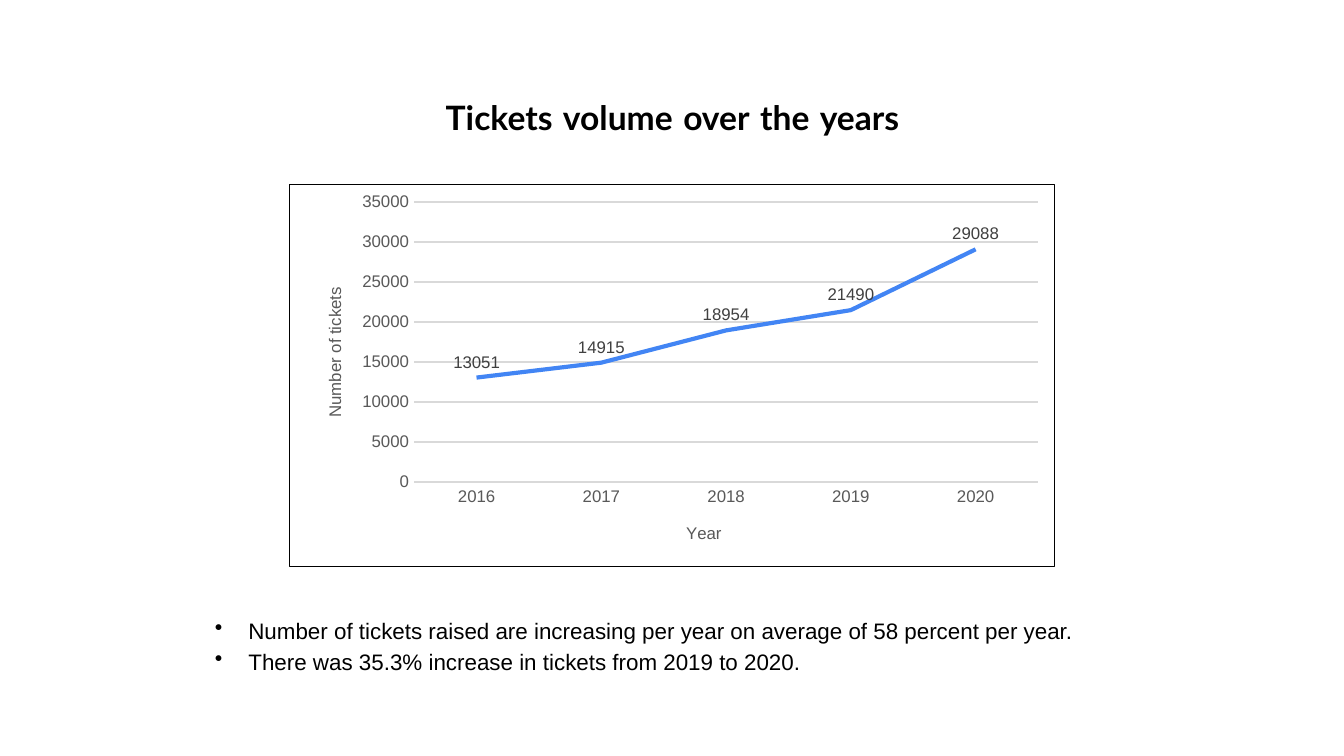
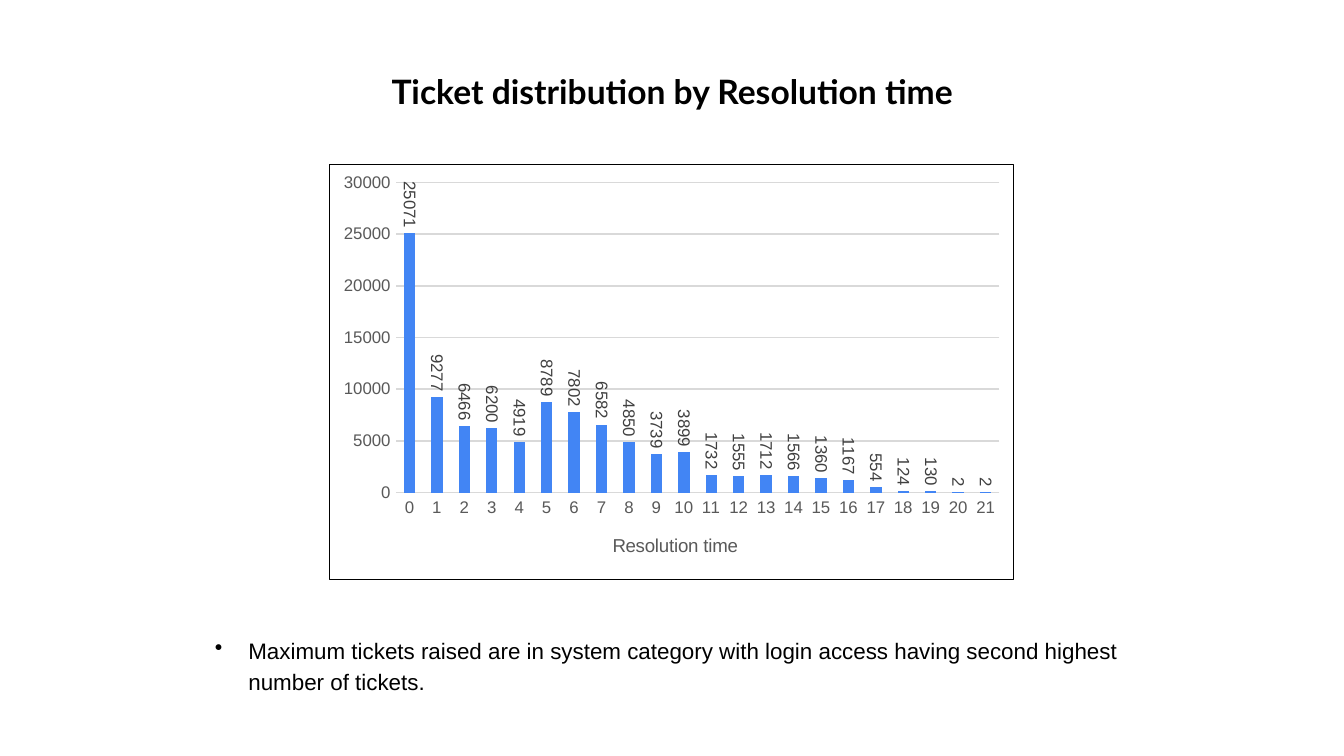
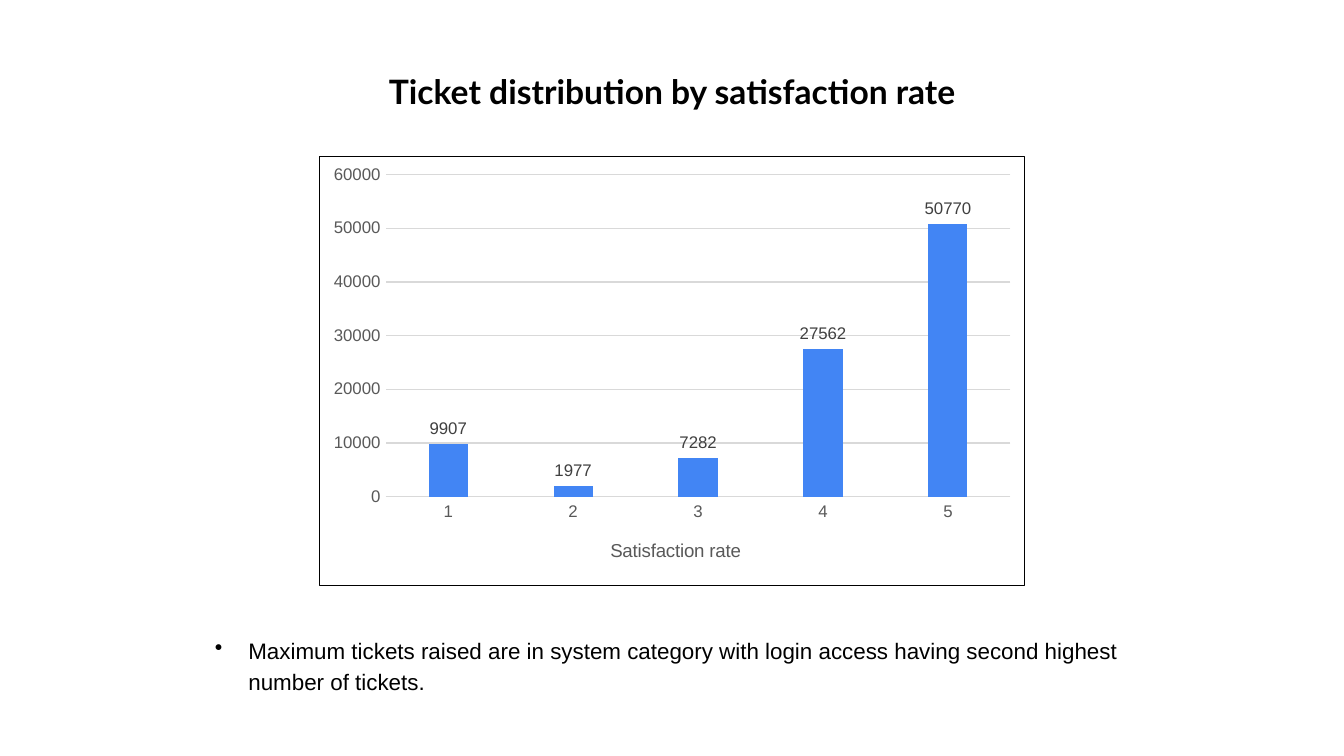
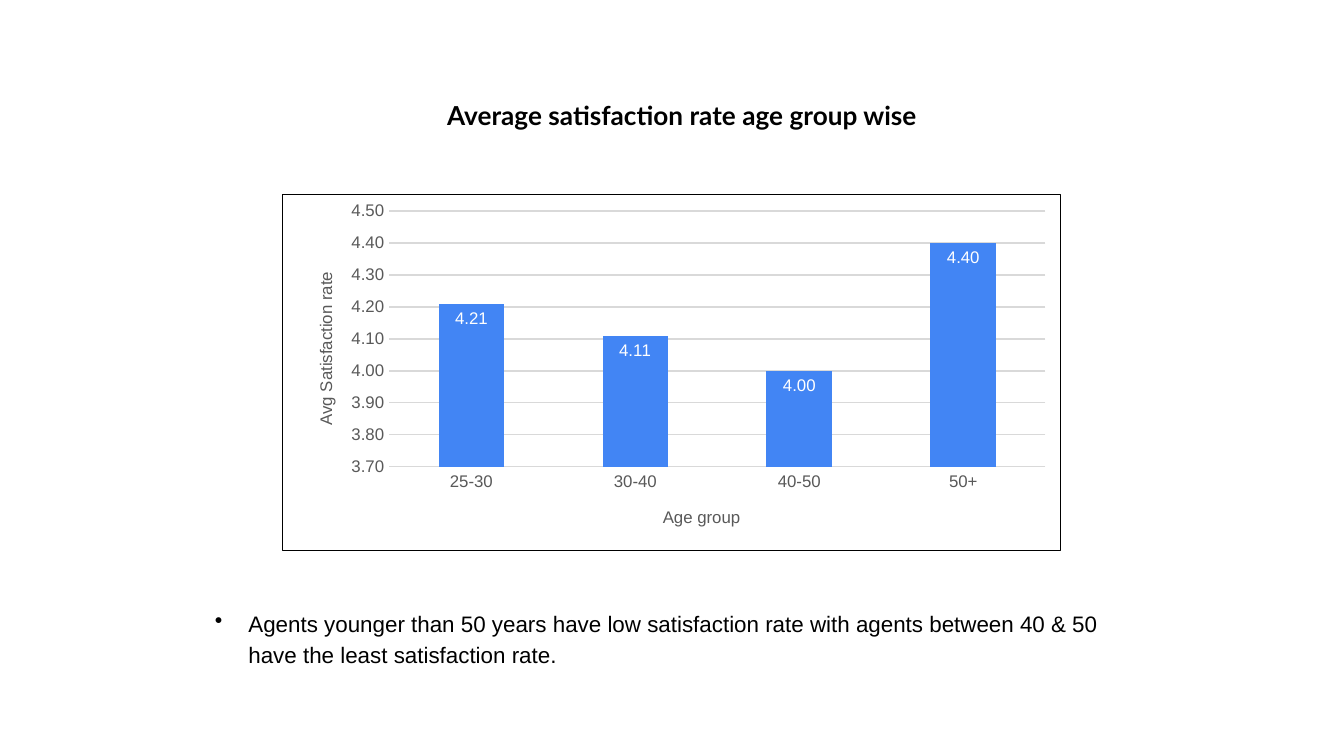
from pptx import Presentation
from pptx.chart.data import CategoryChartData
from pptx.dml.color import RGBColor
from pptx.enum.chart import XL_CHART_TYPE as ChartType
from pptx.enum.chart import XL_LABEL_POSITION as LabelPosition
from pptx.enum.chart import XL_TICK_MARK as TickMark
from pptx.enum.text import MSO_AUTO_SIZE as AutoSize
from pptx.enum.text import PP_ALIGN as Align
from pptx.oxml import parse_xml
from pptx.oxml.ns import nsdecls, qn
from pptx.util import Cm, Pt

BLACK = RGBColor(0x00, 0x00, 0x00)
WHITE = RGBColor(0xFF, 0xFF, 0xFF)
BLUE = RGBColor(0x42, 0x85, 0xF4)
AXIS_GREY = RGBColor(0x59, 0x59, 0x59)
LABEL_GREY = RGBColor(0x40, 0x40, 0x40)
GRID_GREY = RGBColor(0xD9, 0xD9, 0xD9)

TITLE_FONT = {"name": "Lato", "size": Pt(18), "bold": True}
SMALL_TITLE_FONT = {**TITLE_FONT, "size": Pt(14)}
SPACE_FONT = {"name": "Arial", "size": Pt(20), "bold": False}
BODY_FONT = {"name": "Arial", "size": Pt(12)}
CHART_FONT = {"name": "Arial", "size": Pt(10), "bold": False}
AXIS_FONT = {**CHART_FONT, "size": Pt(9)}

TEXT_LEFT, TEXT_WIDTH = 3.81, 17.78
TITLE_FRAME = (7.04, 1.22, 11.33, 1.02)
LOGIN_NOTE = (
    "Maximum tickets raised are in system category with login access "
    "having second highest number of tickets."
)


def apply_format(target, formats):
    """Set each named format value on the target."""
    for name, value in formats.items():
        setattr(target, name, value)


def style_font(font, formats, color):
    """Give a font its format values and colour."""
    apply_format(font, formats)
    font.color.rgb = color


def style_line(line, color, width=0.75):
    """Give a line its colour and width in points."""
    line.color.rgb = color
    line.width = Pt(width)


def add_box(page, frame, wrap=True):
    """Add a growing text box and return its text frame."""
    text = page.shapes.add_textbox(*map(Cm, frame)).text_frame
    apply_format(text, {"word_wrap": wrap, "auto_size": AutoSize.SHAPE_TO_FIT_TEXT})
    return text


def add_span(para, words, formats):
    """Add a black run of text to a paragraph."""
    span = para.add_run()
    span.text = words
    style_font(span.font, formats, BLACK)


def add_title(page, words, frame=TITLE_FRAME):
    """Add a centred slide title."""
    para = add_box(page, frame).paragraphs[0]
    para.alignment = Align.CENTER
    add_span(para, words, TITLE_FONT)


def add_spaced_title(page, words, frame):
    """Add a centred title with larger, lighter word spaces."""
    para = add_box(page, frame, wrap=False).paragraphs[0]
    para.alignment = Align.CENTER
    for index, word in enumerate(words.split()):
        if index:
            add_span(para, " ", SPACE_FONT)
        add_span(para, word, TITLE_FONT)


def add_small_title(page, words, frame):
    """Add a smaller indented title with even insets."""
    text = add_box(page, frame)
    sides = ("left", "top", "right", "bottom")
    apply_format(text, {f"margin_{side}": Cm(0.25) for side in sides})
    para = text.paragraphs[0]
    apply_format(para, {"alignment": Align.CENTER, "line_spacing": 1.14})
    para._p.get_or_add_pPr().set("marL", str(Cm(0.38)))
    add_span(para, words, SMALL_TITLE_FONT)


def add_bullets(page, top, notes, height=1.4):
    """Add a bulleted list of notes below the chart."""
    text = add_box(page, (TEXT_LEFT, top, TEXT_WIDTH, height))
    for index, note in enumerate(notes):
        para = text.add_paragraph() if index else text.paragraphs[0]
        para.line_spacing = 1.15
        properties = para._p.get_or_add_pPr()
        properties.set("marL", str(Pt(18)))
        properties.set("indent", str(-Pt(18)))
        properties.append(parse_xml(
            f'<a:buClr {nsdecls("a")}><a:srgbClr val="{BLACK}"/></a:buClr>'))
        properties.append(parse_xml(f'<a:buChar {nsdecls("a")} char="•"/>'))
        add_span(para, note, BODY_FONT)


def set_layout(parent, frame, place):
    """Fix a chart part at a place given in slide centimetres."""
    left, top, width, height = frame
    values = [(place[0] - left) / width, (place[1] - top) / height]
    target = ""
    if len(place) == 4:
        values += [place[2] / width, place[3] / height]
        target = '<c:layoutTarget val="inner"/>'
    modes = '<c:xMode val="edge"/><c:yMode val="edge"/>'
    sizes = "".join(f'<c:{key} val="{value:.4f}"/>' for key, value in zip("xywh", values))
    old = parent.find(qn("c:layout"))
    if old is not None:
        parent.remove(old)
    layout = parse_xml(
        f'<c:layout {nsdecls("c")}><c:manualLayout>{target}{modes}{sizes}'
        "</c:manualLayout></c:layout>")
    parent.insert(len(parent.findall(qn("c:tx"))), layout)


def set_axis_title(axis, words, frame, place, formats=AXIS_FONT, turn=0):
    """Name an axis and place its title."""
    title = axis.axis_title
    para = title.text_frame.paragraphs[0]
    span = para.add_run()
    span.text = words
    style_font(span.font, formats, AXIS_GREY)
    for body in title.element.iter(qn("a:bodyPr")):
        body.set("rot", str(turn * 60000))
    set_layout(title.element, frame, place)


def style_axes(chart, scale, number_format):
    """Style both axes and the gridlines."""
    for axis in (chart.category_axis, chart.value_axis):
        apply_format(axis, {"major_tick_mark": TickMark.NONE,
                            "minor_tick_mark": TickMark.NONE})
        style_font(axis.tick_labels.font, AXIS_FONT, AXIS_GREY)
    style_line(chart.category_axis.format.line, GRID_GREY)
    axis = chart.value_axis
    axis.format.line.fill.background()
    keys = ("minimum_scale", "maximum_scale", "major_unit")
    apply_format(axis, {"has_major_gridlines": True, **dict(zip(keys, scale))})
    style_line(axis.major_gridlines.format.line, GRID_GREY)
    apply_format(axis.tick_labels, {"number_format": number_format,
                                    "number_format_is_linked": False})


def add_border(chart):
    """Draw a thin black frame around a chart."""
    border = parse_xml(
        f'<c:spPr {nsdecls("c", "a")}>'
        f'<a:solidFill><a:srgbClr val="{WHITE}"/></a:solidFill>'
        f'<a:ln w="{Pt(0.75)}"><a:solidFill><a:srgbClr val="{BLACK}"/></a:solidFill></a:ln>'
        "</c:spPr>")
    chart.element.find(qn("c:txPr")).addprevious(border)


def add_chart(page, kind, frame, plot_frame, values, scale, position,
              label_color=LABEL_GREY, number_format="General"):
    """Add a framed one-series chart with value labels."""
    data = CategoryChartData()
    data.categories = list(values)
    data.add_series("Series 1", list(values.values()))
    chart = page.shapes.add_chart(kind, *map(Cm, frame), data).chart
    apply_format(chart, {"has_legend": False, "has_title": False})
    style_font(chart.font, CHART_FONT, BLACK)
    add_border(chart)
    style_axes(chart, scale, number_format)
    plot = chart.plots[0]
    apply_format(plot, {"vary_by_categories": False, "has_data_labels": True})
    labels = plot.data_labels
    apply_format(labels, {"show_value": True, "position": position,
                          "number_format": number_format,
                          "number_format_is_linked": False})
    style_font(labels.font, AXIS_FONT, label_color)
    set_layout(chart.element.find(".//" + qn("c:plotArea")), frame, plot_frame)
    return chart


def add_line_chart(page, frame, plot_frame, values, scale):
    """Add a straight blue line chart."""
    chart = add_chart(page, ChartType.LINE, frame, plot_frame, values, scale,
                      LabelPosition.ABOVE)
    series = chart.plots[0].series[0]
    series.smooth = False
    style_line(series.format.line, BLUE, 2.25)
    return chart


def add_column_chart(page, frame, plot_frame, values, scale, gap, overlap=-27,
                     kind=ChartType.COLUMN_CLUSTERED,
                     position=LabelPosition.OUTSIDE_END, **options):
    """Add a blue column chart."""
    chart = add_chart(page, kind, frame, plot_frame, values, scale, position, **options)
    plot = chart.plots[0]
    apply_format(plot, {"gap_width": gap, "overlap": overlap})
    fill = plot.series[0].format.fill
    fill.solid()
    fill.fore_color.rgb = BLUE
    return chart


def turn_labels(chart, degrees):
    """Rotate the value labels of a chart."""
    for labels in chart.element.iter(qn("c:dLbls")):
        for body in labels.iter(qn("a:bodyPr")):
            body.set("rot", str(degrees * 60000))
            body.set("vert", "horz")


def build_volume(page):
    """Build the yearly ticket volume slide."""
    add_bullets(page, 11.46, [
        "Number of tickets raised are increasing per year on average of 58 percent per year.",
        "There was 35.3% increase in tickets from 2019 to 2020."])
    frame = (5.46, 3.48, 14.48, 7.24)
    values = {"2016": 13051, "2017": 14915, "2018": 18954, "2019": 21490, "2020": 29088}
    chart = add_line_chart(page, frame, (7.82, 3.81, 11.81, 5.31), values, (0, 35000, 5000))
    set_axis_title(chart.category_axis, "Year", frame, (12.91, 9.83))
    set_axis_title(chart.value_axis, "Number of tickets", frame, (6.05, 5.37), turn=-90)
    add_spaced_title(page, "Tickets volume over the years", (8.1, 1.63, 9.22, 1.12))


def build_resolution(page):
    """Build the resolution time slide."""
    add_bullets(page, 11.84, [LOGIN_NOTE])
    add_title(page, "Ticket distribution by Resolution time")
    frame = (6.22, 3.1, 12.95, 7.87)
    counts = [25071, 9277, 6466, 6200, 4919, 8789, 7802, 6582, 4850, 3739, 3899,
              1732, 1555, 1712, 1566, 1360, 1167, 554, 124, 130, 2, 2]
    values = {str(time): count for time, count in enumerate(counts)}
    chart = add_column_chart(page, frame, (7.47, 3.44, 11.43, 5.88), values,
                             (0, 30000, 5000), gap=140)
    turn_labels(chart, 90)
    set_axis_title(chart.category_axis, "Resolution time", frame, (11.51, 10.04), CHART_FONT)
    chart.value_axis.has_title = False


def build_satisfaction(page):
    """Build the satisfaction rate slide."""
    add_bullets(page, 11.84, [LOGIN_NOTE])
    add_title(page, "Ticket distribution by satisfaction rate")
    frame = (6.02, 2.95, 13.36, 8.13)
    values = {"1": 9907, "2": 1977, "3": 7282, "4": 27562, "5": 50770}
    chart = add_column_chart(page, frame, (7.28, 3.29, 11.83, 6.11), values,
                             (0, 60000, 10000), gap=219)
    set_axis_title(chart.category_axis, "Satisfaction rate", frame, (11.47, 10.13), CHART_FONT)
    chart.value_axis.has_title = False


def build_age_groups(page):
    """Build the age group slide."""
    add_small_title(page, "Average satisfaction rate age group wise",
                    (TEXT_LEFT, 1.55, TEXT_WIDTH, 1.19))
    add_bullets(page, 11.33, [
        "Agents younger than 50 years have low satisfaction rate with agents "
        "between 40 & 50 have the least satisfaction rate."], height=1.14)
    frame = (5.33, 3.66, 14.73, 6.76)
    values = {"25-30": 4.21, "30-40": 4.11, "40-50": 4.00, "50+": 4.40}
    chart = add_column_chart(page, frame, (7.35, 3.98, 12.42, 4.85), values,
                             (3.7, 4.5, 0.1), gap=150, overlap=100,
                             kind=ChartType.COLUMN_STACKED,
                             position=LabelPosition.INSIDE_END,
                             label_color=WHITE, number_format="0.00")
    set_axis_title(chart.category_axis, "Age group", frame, (12.47, 9.53))
    set_axis_title(chart.value_axis, "Avg Satisfaction rate", frame, (5.88, 5.08), turn=-90)


def main():
    """Build and save the deck."""
    deck = Presentation()
    apply_format(deck, {"slide_width": Cm(25.4), "slide_height": Cm(14.29)})
    for build in (build_volume, build_resolution, build_satisfaction, build_age_groups):
        build(deck.slides.add_slide(deck.slide_layouts[6]))
    deck.save("out.pptx")


if __name__ == "__main__":
    main()
